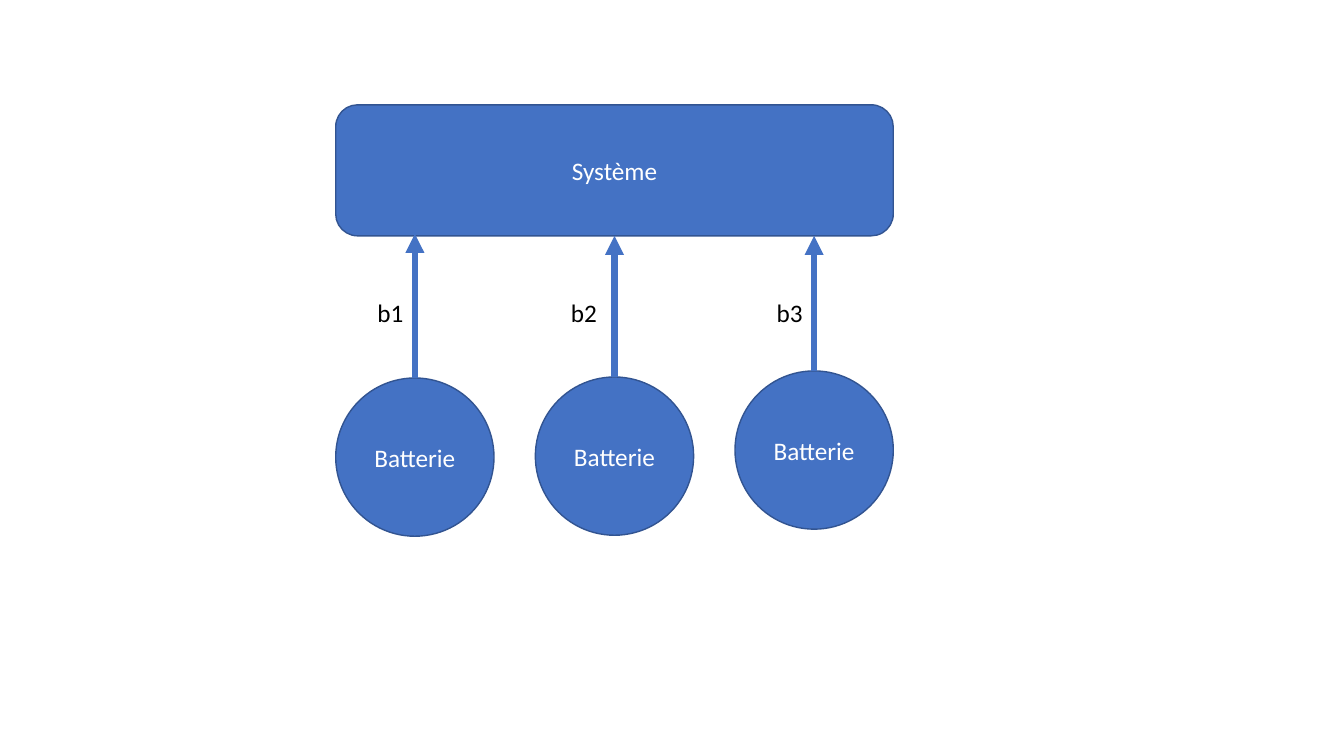
from lxml import etree
from pptx import Presentation
from pptx.dml.color import RGBColor
from pptx.enum.shapes import MSO_CONNECTOR, MSO_SHAPE
from pptx.enum.text import MSO_ANCHOR, MSO_AUTO_SIZE, PP_ALIGN
from pptx.oxml.ns import qn
from pptx.util import Inches, Pt

COLORS = {"blue": "4472C4", "outline": "325491", "white": "FFFFFF", "black": "000000"}
DIAMETER = 1.57


def color(name):
    return RGBColor.from_string(COLORS[name])


def write(shape, text, text_color, align):
    paragraph = shape.text_frame.paragraphs[0]
    paragraph.alignment = align
    run = paragraph.add_run()
    run.text = text
    run.font.name = "Calibri"
    run.font.size = Pt(18)
    run.font.color.rgb = color(text_color)


def add_block(slide, kind, box, text):
    block = slide.shapes.add_shape(kind, *map(Inches, box))
    block.shadow.inherit = False
    block.fill.solid()
    block.fill.fore_color.rgb = color("blue")
    block.line.color.rgb = color("outline")
    block.line.width = Pt(1)
    block.text_frame.word_wrap = True
    block.text_frame.vertical_anchor = MSO_ANCHOR.MIDDLE
    write(block, text, "white", PP_ALIGN.CENTER)


def add_arrow(slide, x, bottom, top):
    arrow = slide.shapes.add_connector(
        MSO_CONNECTOR.STRAIGHT, Inches(x), Inches(bottom), Inches(x), Inches(top))
    arrow.line.color.rgb = color("blue")
    arrow.line.width = Pt(4.5)
    etree.SubElement(arrow.line._get_or_add_ln(), qn("a:tailEnd"), type="triangle")
    etree.SubElement(arrow._element.spPr, qn("a:effectLst"))


def add_label(slide, left, top, text):
    label = slide.shapes.add_textbox(*map(Inches, (left, top, 0.47, 0.4)))
    label.text_frame.word_wrap = False
    label.text_frame.auto_size = MSO_AUTO_SIZE.SHAPE_TO_FIT_TEXT
    write(label, text, "black", PP_ALIGN.LEFT)


def battery_diagram(slide, left, top, width):
    # System fed by the batteries
    add_block(slide, MSO_SHAPE.ROUNDED_RECTANGLE, (left, top, width, 1.3), "Système")

    # Per battery: circle top, arrow tip, label offset from the arrow
    batteries = [(2.71, 1.28, -0.47), (2.70, 1.3, -0.53), (2.64, 1.3, -0.47)]
    step = (width - DIAMETER) / (len(batteries) - 1)
    for i, (circle_top, tip, label_offset) in enumerate(batteries):
        x = left + i * step
        center = x + DIAMETER / 2
        add_block(slide, MSO_SHAPE.OVAL,
                  (x, top + circle_top, DIAMETER, DIAMETER), "Batterie")
        add_arrow(slide, center, top + circle_top, top + tip)
        add_label(slide, center + label_offset, top + 1.86, f"b{i + 1}")


prs = Presentation()
prs.slide_width, prs.slide_height = Inches(13.33), Inches(7.5)
battery_diagram(prs.slides.add_slide(prs.slide_layouts[6]), 3.33, 1.04, 5.53)
prs.save("out.pptx")
